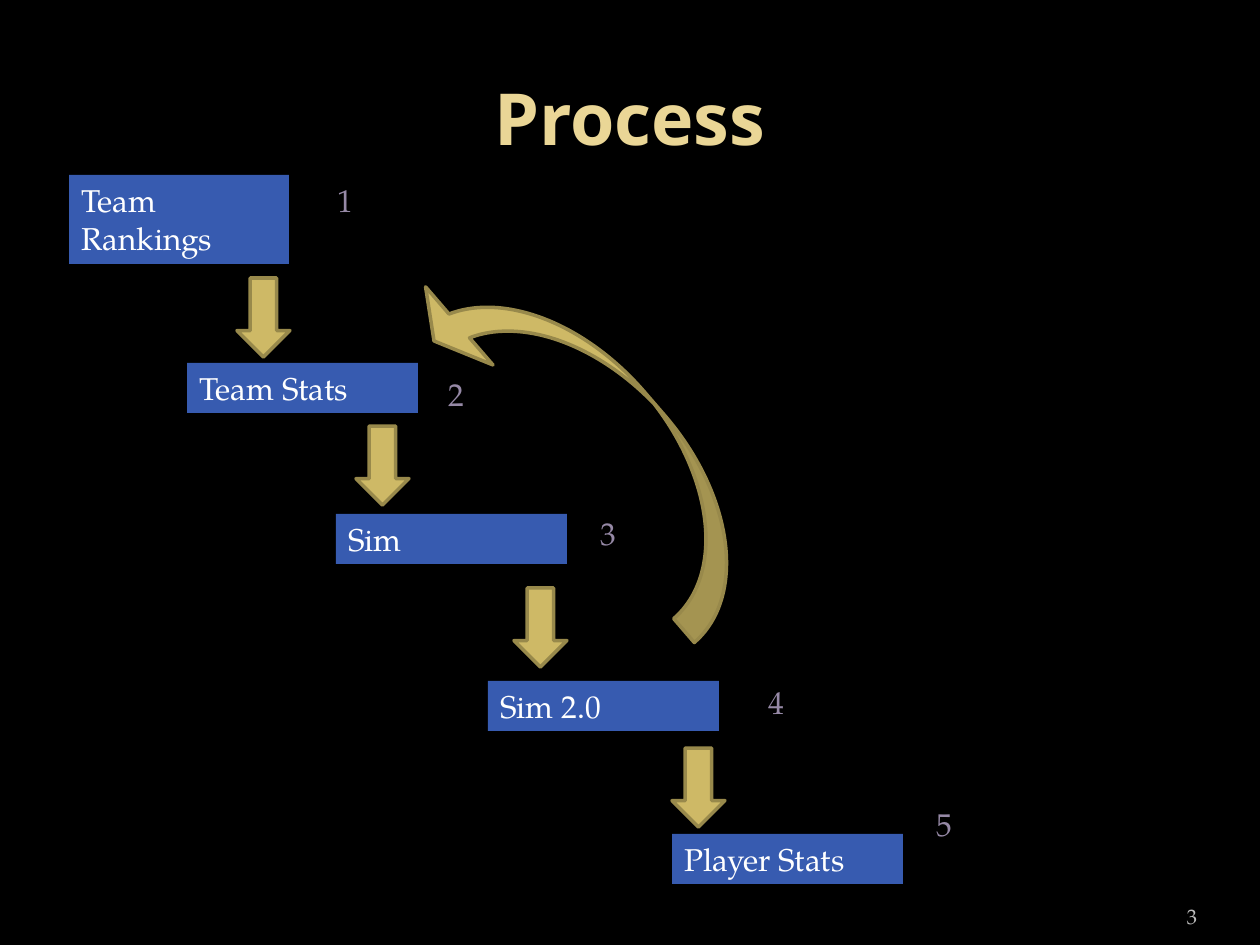
"""Build the Process slide: five steps descending like stairs, with a loop back."""
from pptx import Presentation
from pptx.dml.color import RGBColor
from pptx.enum.shapes import MSO_SHAPE as Shape
from pptx.enum.text import MSO_ANCHOR as Anchor, MSO_AUTO_SIZE as AutoSize, PP_ALIGN as Align
from pptx.util import Emu, Pt

BLACK = RGBColor(0x00, 0x00, 0x00)
WHITE = RGBColor(0xFF, 0xFF, 0xFF)
BLUE = RGBColor(0x37, 0x5B, 0xB0)
GOLD = RGBColor(0xCE, 0xB9, 0x66)
DARK_GOLD = RGBColor(0x98, 0x89, 0x4B)
PALE_GOLD = RGBColor(0xEA, 0xD6, 0x96)
MAUVE = RGBColor(0x96, 0x89, 0xA6)
GREY = RGBColor(0xBD, 0xBD, 0xBD)

PX = 914400 / 126
SLIDE_SIZE = (1260, 945)
TITLE_BOX = (63, 38, 1134, 157)
PAGE_BOX = (1092, 885, 105, 50)
LOOP_BOX = (370, 368, 450, 126)
LOOP_ANGLE = 229.2
LOOP_ADJUSTMENTS = (0.25, 0.819, 0.23)
NUMBER_SIZE = (30, 89)
ARROW_SIZE = (53, 79)

STEPS = [
    ("Team Rankings", (69, 175, 220, 89), (325, 175)),
    ("Team Stats", (187, 363, 231, 50), (436, 369)),
    ("Sim", (336, 514, 231, 50), (588, 508)),
    ("Sim 2.0", (488, 681, 231, 50), (756, 677)),
    ("Player Stats", (672, 834, 231, 50), (924, 799)),
]
ARROWS = [(237, 278), (356, 426), (514, 588), (672, 748)]

BODY_FONT = {"name": "TeX Gyre Pagella", "size": Pt(18)}
TITLE_FONT = {"name": "Open Sans", "size": Pt(41), "bold": True}
GROWING = {"word_wrap": True, "auto_size": AutoSize.SHAPE_TO_FIT_TEXT,
           "vertical_anchor": Anchor.TOP}
TITLE_FRAME = {"word_wrap": True, "auto_size": AutoSize.NONE,
               "vertical_anchor": Anchor.MIDDLE}
PAGE_FRAME = {"word_wrap": True, "vertical_anchor": Anchor.BOTTOM,
              "margin_left": 0, "margin_right": 0}


def emu(lengths):
    return [Emu(round(length * PX)) for length in lengths]


def set_attributes(target, values):
    for name, value in values.items():
        setattr(target, name, value)


def write(shape, text, frame, font, color, align=Align.LEFT):
    set_attributes(shape.text_frame, frame)
    paragraph = shape.text_frame.paragraphs[0]
    paragraph.alignment = align
    run = paragraph.add_run()
    run.text = text
    set_attributes(run.font, font)
    run.font.color.rgb = color


def add_filled(slide, kind, box, fill, line=None):
    shape = slide.shapes.add_shape(kind, *emu(box))
    shape.shadow.inherit = False
    shape.fill.solid()
    shape.fill.fore_color.rgb = fill
    if line is None:
        shape.line.fill.background()
    else:
        shape.line.color.rgb = line
        shape.line.width = Pt(2)
    return shape


def main():
    presentation = Presentation()
    presentation.slide_width, presentation.slide_height = emu(SLIDE_SIZE)
    slide = presentation.slides.add_slide(presentation.slide_layouts[5])
    slide.background.fill.solid()
    slide.background.fill.fore_color.rgb = BLACK

    title = slide.shapes.title
    set_attributes(title, dict(zip(("left", "top", "width", "height"), emu(TITLE_BOX))))
    write(title, "Process", TITLE_FRAME, TITLE_FONT, PALE_GOLD, Align.CENTER)

    page = slide.shapes.add_textbox(*emu(PAGE_BOX))
    write(page, "3", PAGE_FRAME, {**BODY_FONT, "size": Pt(12)}, GREY, Align.RIGHT)

    for name, box, _ in STEPS:
        step = add_filled(slide, Shape.RECTANGLE, box, BLUE)
        write(step, name, GROWING, BODY_FONT, WHITE)

    for corner in ARROWS:
        add_filled(slide, Shape.DOWN_ARROW, corner + ARROW_SIZE, GOLD, DARK_GOLD)

    loop = add_filled(slide, Shape.CURVED_UP_ARROW, LOOP_BOX, GOLD, DARK_GOLD)
    loop.rotation = LOOP_ANGLE
    for index, value in enumerate(LOOP_ADJUSTMENTS):
        loop.adjustments[index] = value

    for number, (_, _, corner) in enumerate(STEPS, start=1):
        label = slide.shapes.add_textbox(*emu(corner + NUMBER_SIZE))
        write(label, str(number), GROWING, BODY_FONT, MAUVE)

    presentation.save("out.pptx")


if __name__ == "__main__":
    main()
